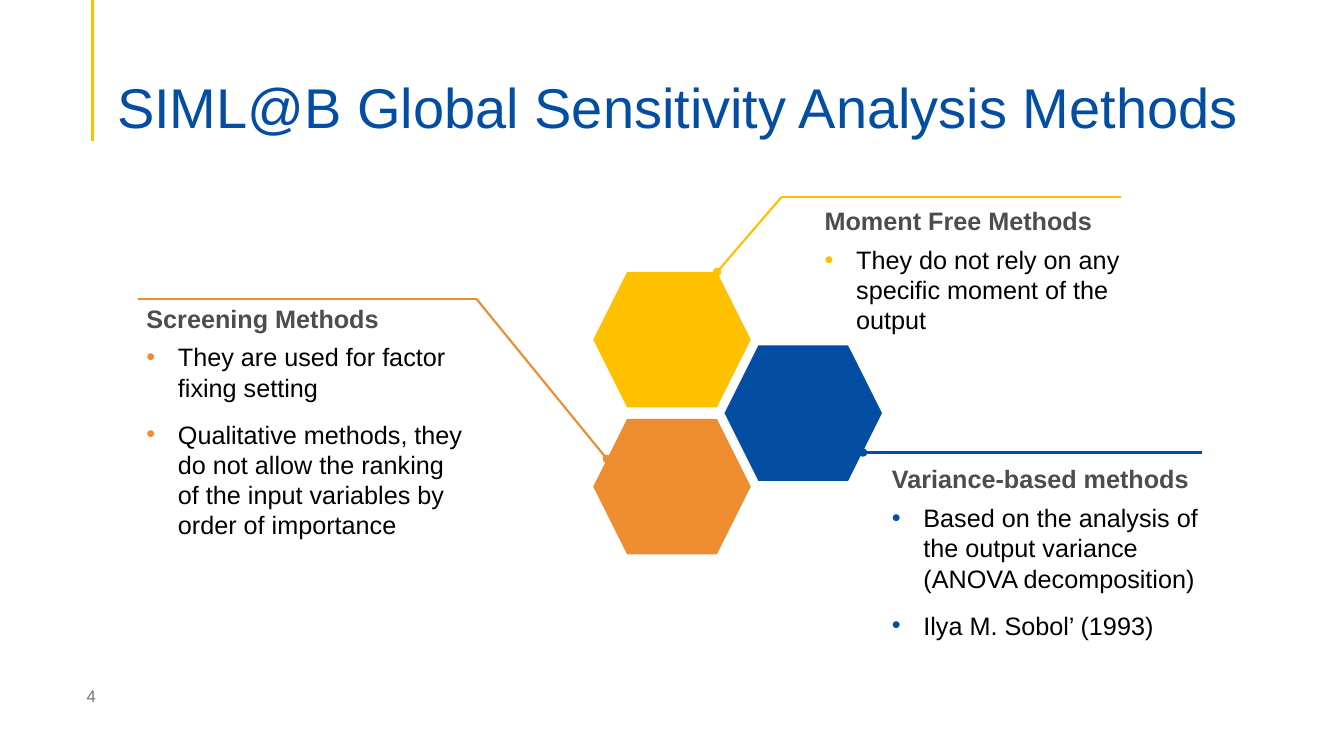
from itertools import pairwise

from lxml.etree import SubElement
from pptx import Presentation
from pptx.dml.color import RGBColor
from pptx.enum.shapes import MSO_CONNECTOR as CONNECTOR, MSO_SHAPE as SHAPE
from pptx.enum.text import MSO_ANCHOR as ANCHOR, MSO_AUTO_SIZE as AUTO_SIZE, PP_ALIGN as ALIGN
from pptx.oxml.ns import qn
from pptx.util import Pt

PX = 9525
COLORS = {
    "yellow": "FFC000",
    "orange": "ED8D2F",
    "blue": "034EA2",
    "heading": "4D4D4D",
    "body": "000000",
    "number": "767676",
}
HEX_LEFT, HEX_TOP, HEX_WIDTH, HEX_HEIGHT = 565, 259, 150, 129
COLUMN_STEP, ROW_STEP = 125, 140
BULLET_INDENT = 30

METHODS = [
    {
        "color": "orange",
        "cell": (0, 1),
        "callout": [(131, 285), (454, 285), (578, 437)],
        "box": (130, 284, 324, 283),
        "heading": "Screening Methods",
        "points": [
            "They are used for factor fixing setting",
            "Qualitative methods, they do not allow the ranking of the input "
            "variables by order of importance",
        ],
    },
    {
        "color": "yellow",
        "cell": (0, 0),
        "callout": [(1068, 188), (744, 188), (683, 259)],
        "box": (776, 191, 301, 134),
        "heading": "Moment Free Methods",
        "points": ["They do not rely on any specific moment of the output"],
    },
    {
        "color": "blue",
        "cell": (1, 0.5),
        "callout": [(1145, 431), (822, 431)],
        "box": (840, 437, 326, 180),
        "heading": "Variance-based methods",
        "points": [
            "Based on the analysis of the output variance (ANOVA decomposition)",
            "Ilya M. Sobol’ (1993)",
        ],
    },
]


def emu(*lengths):
    return [round(length * PX) for length in lengths]


def rgb(color):
    return RGBColor.from_string(COLORS[color])


def apply_format(target, values):
    for name, value in values.items():
        setattr(target, name, value)


def set_font(paragraph, size, color, bold=False):
    apply_format(paragraph.font, {"name": "Arial", "size": Pt(size), "bold": bold})
    paragraph.font.color.rgb = rgb(color)


def add_title(slide, text):
    title = slide.shapes.title
    apply_format(title, dict(zip(("left", "top", "width", "height"), emu(102, 51, 1104, 83))))
    frame = title.text_frame
    frame.text = text
    apply_format(frame, {
        "vertical_anchor": ANCHOR.BOTTOM,
        "auto_size": AUTO_SIZE.NONE,
        "word_wrap": True,
        "margin_bottom": 0,
    })
    apply_format(frame.paragraphs[0], {"alignment": ALIGN.LEFT, "line_spacing": 0.9})
    set_font(frame.paragraphs[0], 40, "blue")


def add_number(slide, text):
    frame = slide.shapes.add_textbox(*emu(73, 644, 288, 38)).text_frame
    frame.text = text
    apply_format(frame, {"vertical_anchor": ANCHOR.MIDDLE, "word_wrap": True})
    set_font(frame.paragraphs[0], 12, "number")


def add_line(slide, start, end, color, width, dot=False):
    line = slide.shapes.add_connector(CONNECTOR.STRAIGHT, *emu(*start, *end))
    line.line.color.rgb = rgb(color)
    line.line.width = Pt(width)
    if dot:
        SubElement(line.line._get_or_add_ln(), qn("a:tailEnd"), type="oval")
    SubElement(line._element.spPr, qn("a:effectLst"))


def add_callout(slide, corners, color):
    for start, end in pairwise(corners):
        add_line(slide, start, end, color, 1.5, dot=end == corners[-1])


def add_hexagon(slide, cell, color):
    column, row = cell
    left = HEX_LEFT + column * COLUMN_STEP
    top = HEX_TOP + row * ROW_STEP
    hexagon = slide.shapes.add_shape(SHAPE.HEXAGON, *emu(left, top, HEX_WIDTH, HEX_HEIGHT))
    hexagon.shadow.inherit = False
    hexagon.fill.solid()
    hexagon.fill.fore_color.rgb = rgb(color)
    hexagon.line.fill.background()


def add_bullet(paragraph, color):
    properties = paragraph._p.get_or_add_pPr()
    indent = BULLET_INDENT * PX
    properties.set("marL", str(indent))
    properties.set("indent", str(-indent))
    bullet_color = SubElement(properties, qn("a:buClr"))
    SubElement(bullet_color, qn("a:srgbClr"), val=COLORS[color])
    SubElement(properties, qn("a:buFont"), typeface="Arial")
    SubElement(properties, qn("a:buChar"), char="•")


def add_description(slide, method):
    frame = slide.shapes.add_textbox(*emu(*method["box"])).text_frame
    apply_format(frame, {"word_wrap": True, "auto_size": AUTO_SIZE.SHAPE_TO_FIT_TEXT})
    heading = frame.paragraphs[0]
    heading.text = method["heading"]
    heading.space_after = Pt(6)
    set_font(heading, 18, "heading", bold=True)
    points = method["points"]
    for text in points:
        point = frame.add_paragraph()
        point.text = text
        if len(points) > 1:
            point.space_after = Pt(12)
        add_bullet(point, method["color"])
        set_font(point, 18, "body")


def main():
    deck = Presentation()
    deck.slide_width, deck.slide_height = emu(1280, 720)
    slide = deck.slides.add_slide(deck.slide_layouts[5])
    add_line(slide, (88, 0), (88, 134), "yellow", 2.25)
    add_number(slide, "4")
    add_title(slide, "SIML@B Global Sensitivity Analysis Methods")
    for method in METHODS:
        add_callout(slide, method["callout"], method["color"])
        add_hexagon(slide, method["cell"], method["color"])
    for method in METHODS:
        add_description(slide, method)
    deck.save("out.pptx")


if __name__ == "__main__":
    main()
